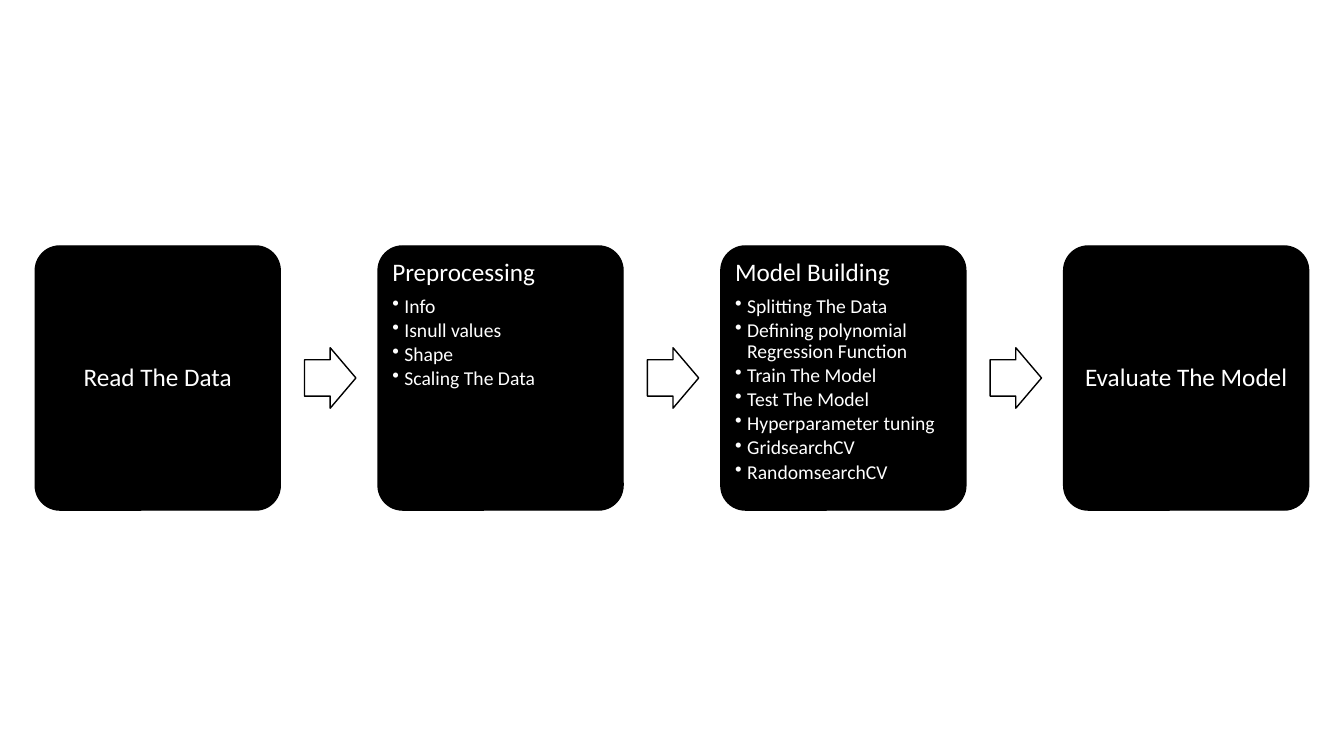
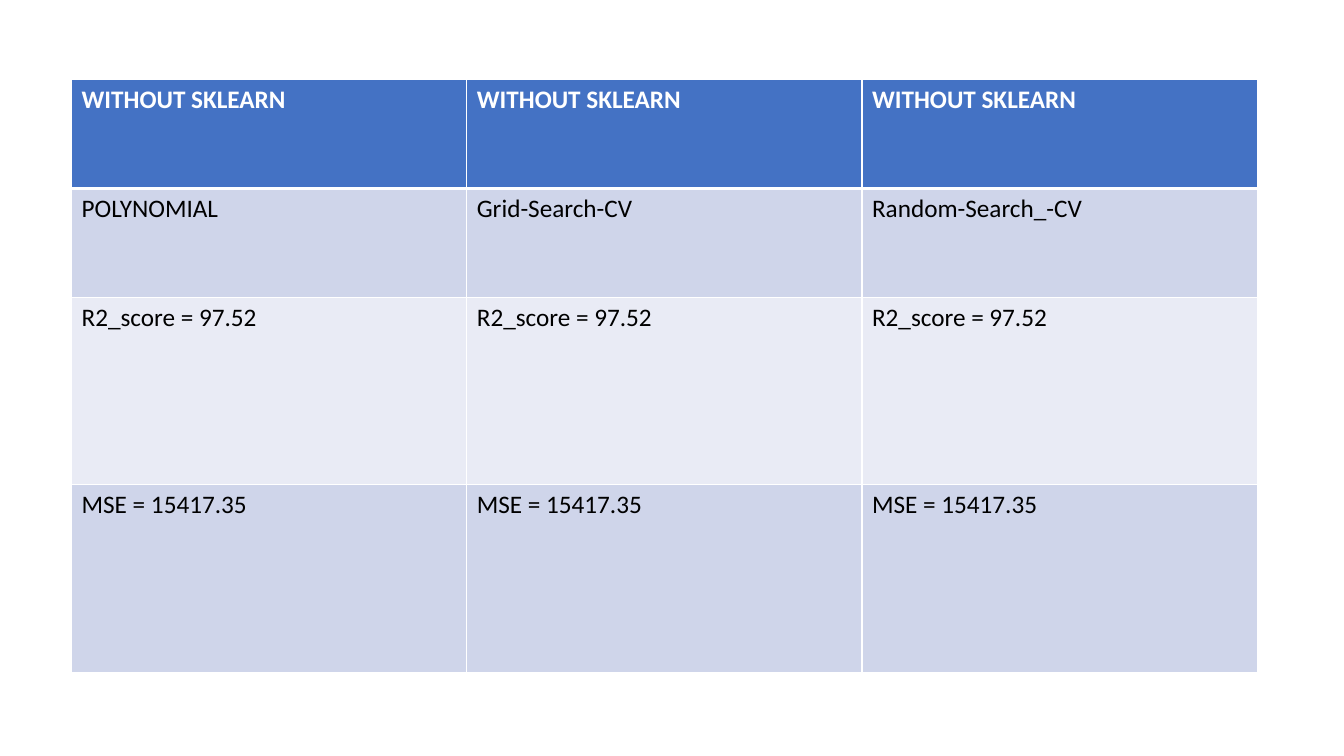
import pptx
import pptx.dml.color
import pptx.enum.shapes
import pptx.enum.text
import pptx.oxml.ns
import pptx.util
import lxml.etree

PX = 9144
FONT = "Calibri"
BLACK, WHITE = "000000", "FFFFFF"
HEADER, BAND_DARK, BAND_LIGHT = "4472C4", "CFD5EA", "E9EBF5"
SHAPES = pptx.enum.shapes.MSO_SHAPE
ALIGN = pptx.enum.text.PP_ALIGN
ANCHOR = pptx.enum.text.MSO_ANCHOR

STEPS = [
    ("Read The Data", []),
    ("Preprocessing", ["Info", "Isnull values", "Shape", "Scaling The Data"]),
    ("Model Building", [
        "Splitting The Data",
        "Defining polynomial Regression Function",
        "Train The Model",
        "Test The Model",
        "Hyperparameter tuning",
        "GridsearchCV",
        "RandomsearchCV",
    ]),
    ("Evaluate The Model", []),
]

RESULTS = [
    ["WITHOUT SKLEARN"] * 3,
    ["POLYNOMIAL", "Grid-Search-CV", "Random-Search_-CV"],
    ["R2_score = 97.52"] * 3,
    ["MSE = 15417.35"] * 3,
]
ROW_HEIGHTS = [108, 108, 186, 186]
ROW_FILLS = [HEADER, BAND_DARK, BAND_LIGHT, BAND_DARK]


def px(length):
    return pptx.util.Emu(length * PX)


def color(value):
    return pptx.dml.color.RGBColor.from_string(value)


def add_element(parent, tag, **attributes):
    return lxml.etree.SubElement(parent, pptx.oxml.ns.qn(tag), attributes)


def write(frame, text, first=True, size=18, fill=WHITE, bold=False,
          align=ALIGN.LEFT, spacing=None, after=None, bullet=False):
    para = frame.paragraphs[0] if first else frame.add_paragraph()
    para.alignment = align
    if spacing:
        para.line_spacing = spacing
    if after:
        para.space_after = pptx.util.Pt(after)
    if bullet:
        para.level = 1
        properties = para._p.get_or_add_pPr()
        properties.set("marL", str(px(12)))
        properties.set("indent", str(px(-12)))
        add_element(properties, "a:buChar", char="•")
    span = para.add_run()
    span.text = text
    span.font.name = FONT
    span.font.size = pptx.util.Pt(size)
    span.font.bold = bold
    span.font.color.rgb = color(fill)


def add_box(page, kind, left, top, width, height, fill, adjustments):
    box = page.shapes.add_shape(kind, px(left), px(top), px(width), px(height))
    box.shadow.inherit = False
    box.fill.solid()
    box.fill.fore_color.rgb = color(fill)
    box.line.color.rgb = color(BLACK)
    box.line.width = pptx.util.Pt(1)
    for index, value in enumerate(adjustments):
        box.adjustments[index] = value
    return box


def add_card(page, left, top, width, height, title, items):
    box = add_box(page, SHAPES.ROUNDED_RECTANGLE, left, top, width, height, BLACK, [0.1])
    frame = box.text_frame
    frame.word_wrap = True
    frame.margin_left = frame.margin_right = px(7)
    frame.margin_top = frame.margin_bottom = px(7)
    frame.vertical_anchor = ANCHOR.TOP if items else ANCHOR.MIDDLE
    write(frame, title, align=ALIGN.LEFT if items else ALIGN.CENTER,
          spacing=0.9, after=6.3)
    for item in items:
        write(frame, item, first=False, size=14, spacing=0.9, after=2.1, bullet=True)


def add_process(page, left, top, card_width, card_height, pitch, steps):
    arrow_width, arrow_height, gap = 51, 60, 24
    for index, (title, items) in enumerate(steps):
        card_left = left + index * pitch
        if index:
            add_box(page, SHAPES.RIGHT_ARROW, card_left - pitch + card_width + gap,
                    top + (card_height - arrow_height) // 2,
                    arrow_width, arrow_height, WHITE, [0.6, 0.5])
        add_card(page, card_left, top, card_width, card_height, title, items)


def set_borders(cell, **widths):
    properties = cell._tc.get_or_add_tcPr()
    for side in ("L", "R", "T", "B"):
        width = pptx.util.Pt(widths.get(side, 1))
        line = add_element(properties, f"a:ln{side}", w=str(width))
        add_element(add_element(line, "a:solidFill"), "a:srgbClr", val=WHITE)


def add_results(page, left, top, column_width, row_heights, rows):
    count = len(rows[0])
    table = page.shapes.add_table(
        len(rows), count, px(left), px(top),
        px(column_width * count), px(sum(row_heights))).table
    table.first_row = table.horz_banding = False
    for column in table.columns:
        column.width = px(column_width)
    for index, texts in enumerate(rows):
        table.rows[index].height = px(row_heights[index])
        header = index == 0
        for cell, text in zip(table.rows[index].cells, texts):
            set_borders(cell, T=3 if index == 1 else 1, B=3 if header else 1)
            cell.fill.solid()
            cell.fill.fore_color.rgb = color(ROW_FILLS[index])
            write(cell.text_frame, text, bold=header, fill=WHITE if header else BLACK)


def main():
    deck = pptx.Presentation()
    deck.slide_width, deck.slide_height = px(1333), px(750)
    blank = deck.slide_layouts[6]
    add_process(deck.slides.add_slide(blank), 35, 244, 243, 262, 340, STEPS)
    add_results(deck.slides.add_slide(blank), 71, 79, 392, ROW_HEIGHTS, RESULTS)
    deck.save("out.pptx")


if __name__ == "__main__":
    main()
